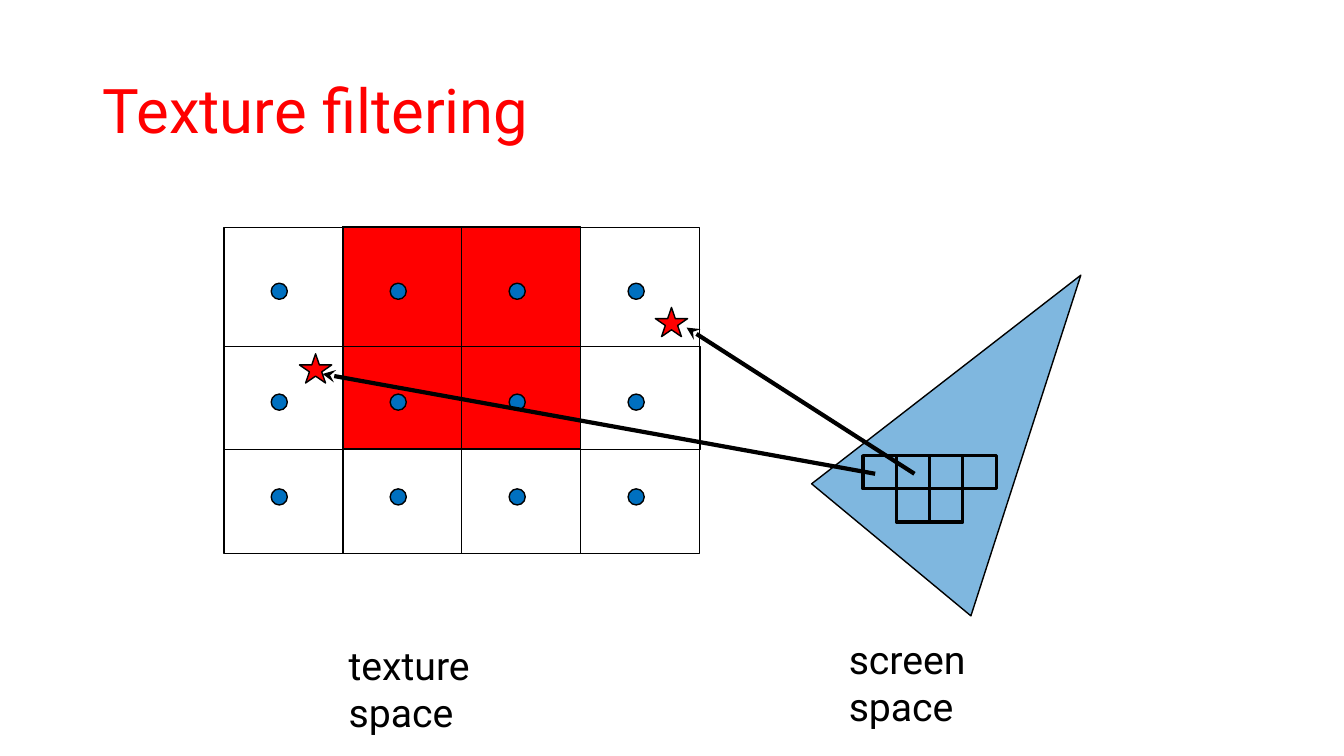
"""Build the slide on texture filtering: a texel grid and a triangle in screen space."""
from lxml import etree
from pptx import Presentation
from pptx.dml.color import RGBColor
from pptx.enum.shapes import MSO_CONNECTOR, MSO_SHAPE
from pptx.enum.text import MSO_ANCHOR, MSO_AUTO_SIZE, PP_ALIGN
from pptx.oxml.ns import qn
from pptx.util import Inches, Pt

RECT, OVAL, STAR = MSO_SHAPE.RECTANGLE, MSO_SHAPE.OVAL, MSO_SHAPE.STAR_5_POINT
STRAIGHT = MSO_CONNECTOR.STRAIGHT
LEFT, MIDDLE, TOP = PP_ALIGN.LEFT, MSO_ANCHOR.MIDDLE, MSO_ANCHOR.TOP
FIXED = MSO_AUTO_SIZE.NONE

THEME = {
    "red": RGBColor(255, 0, 0),
    "blue": RGBColor(0, 112, 192),
    "black": RGBColor(0, 0, 0),
    "title": {"name": "Roboto", "size": Pt(44)},
    "label": {"name": "Roboto", "size": Pt(28)},
    "thin": Pt(1),
    "pixel": Pt(2.25),
    "arrow": Pt(3),
}


def paint(shape, fill=None, width="thin"):
    """Give a shape its fill and black outline, without shadow."""
    shape.shadow.inherit = False
    if fill:
        shape.fill.solid()
        shape.fill.fore_color.rgb = THEME[fill]
    else:
        shape.fill.background()
    shape.line.color.rgb = THEME["black"]
    shape.line.width = THEME[width]


def write(box, text, style, color, anchor):
    """Put one left-aligned paragraph in a box and return it."""
    frame = box.text_frame
    form = {"word_wrap": True, "auto_size": FIXED, "vertical_anchor": anchor}
    for key, value in form.items():
        setattr(frame, key, value)
    para = frame.paragraphs[0]
    para.alignment = LEFT
    run = para.add_run()
    run.text = text
    for key, value in THEME[style].items():
        setattr(run.font, key, value)
    run.font.color.rgb = THEME[color]
    return para


deck = Presentation()
deck.slide_width, deck.slide_height = Inches(13.33), Inches(7.5)
slide = deck.slides.add_slide(deck.slide_layouts[5])
shapes = slide.shapes

title = shapes.title
title.left, title.top = Inches(0.92), Inches(0.4)
title.width, title.height = Inches(11.5), Inches(1.45)
write(title, "Texture filtering", "title", "red", MIDDLE).line_spacing = 0.9

left, top, cell = 2.22, 2.26, 1.18
block = shapes.add_shape(RECT, Inches(3.4), Inches(2.25), Inches(2 * cell), Inches(2.2))
paint(block, "red")
for col in range(4):
    column = shapes.add_shape(
        RECT, Inches(left + col * cell), Inches(top), Inches(cell), Inches(3.23))
    paint(column)
band = shapes.add_shape(RECT, Inches(left), Inches(3.44), Inches(4.73), Inches(1.02))
paint(band)

for y in (2.81, 3.91, 4.85):
    for col in range(4):
        dot = shapes.add_shape(
            OVAL, Inches(2.69 + col * cell), Inches(y), Inches(0.16), Inches(0.16))
        paint(dot, "blue")

corners = [(Inches(x), Inches(y)) for x, y in ((9.63, 6.11), (8.05, 4.8), (10.72, 2.73))]
outline = shapes.build_freeform(*corners[0])
outline.add_line_segments(corners[1:], close=True)
triangle = outline.convert_to_shape()
paint(triangle, "blue")
tint = triangle.fill._xPr.find(qn("a:solidFill"))[0]
etree.SubElement(tint, qn("a:alpha"), val="50000")

side = 0.33
for row, cols in enumerate(((0, 1, 2, 3), (1, 2))):
    for col in cols:
        pixel = shapes.add_shape(
            RECT, Inches(8.56 + col * side), Inches(4.52 + row * side),
            Inches(side), Inches(side))
        paint(pixel, width="pixel")

samples = (
    ((2.97, 3.51), (8.68, 4.7), (3.2, 3.71)),
    ((6.5, 3.05), (9.07, 4.7), (6.81, 3.25)),
)
for (x, y), start, end in samples:
    star = shapes.add_shape(STAR, Inches(x), Inches(y), Inches(0.32), Inches(0.29))
    paint(star, "red")
    arrow = shapes.add_connector(STRAIGHT, *map(Inches, start + end))
    arrow.line.color.rgb = THEME["black"]
    arrow.line.width = THEME["arrow"]
    etree.SubElement(arrow.line._get_or_add_ln(), qn("a:tailEnd"), type="stealth")
    etree.SubElement(arrow._element.spPr, qn("a:effectLst"))

labels = (("texture space", 3.36, 6.31, 2.36), ("screen space", 8.32, 6.25, 2.3))
for text, x, y, width in labels:
    box = shapes.add_textbox(Inches(x), Inches(y), Inches(width), Inches(0.57))
    write(box, text, "label", "black", TOP)

deck.save("out.pptx")
